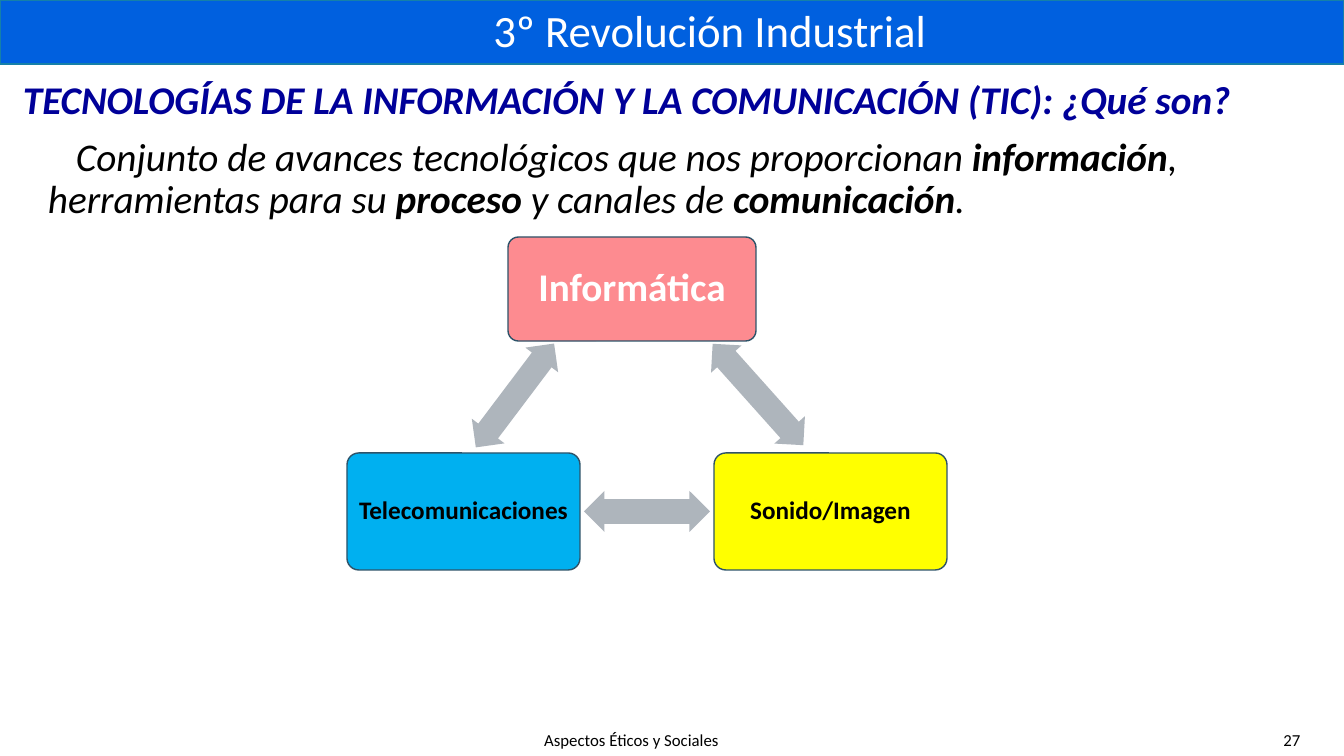
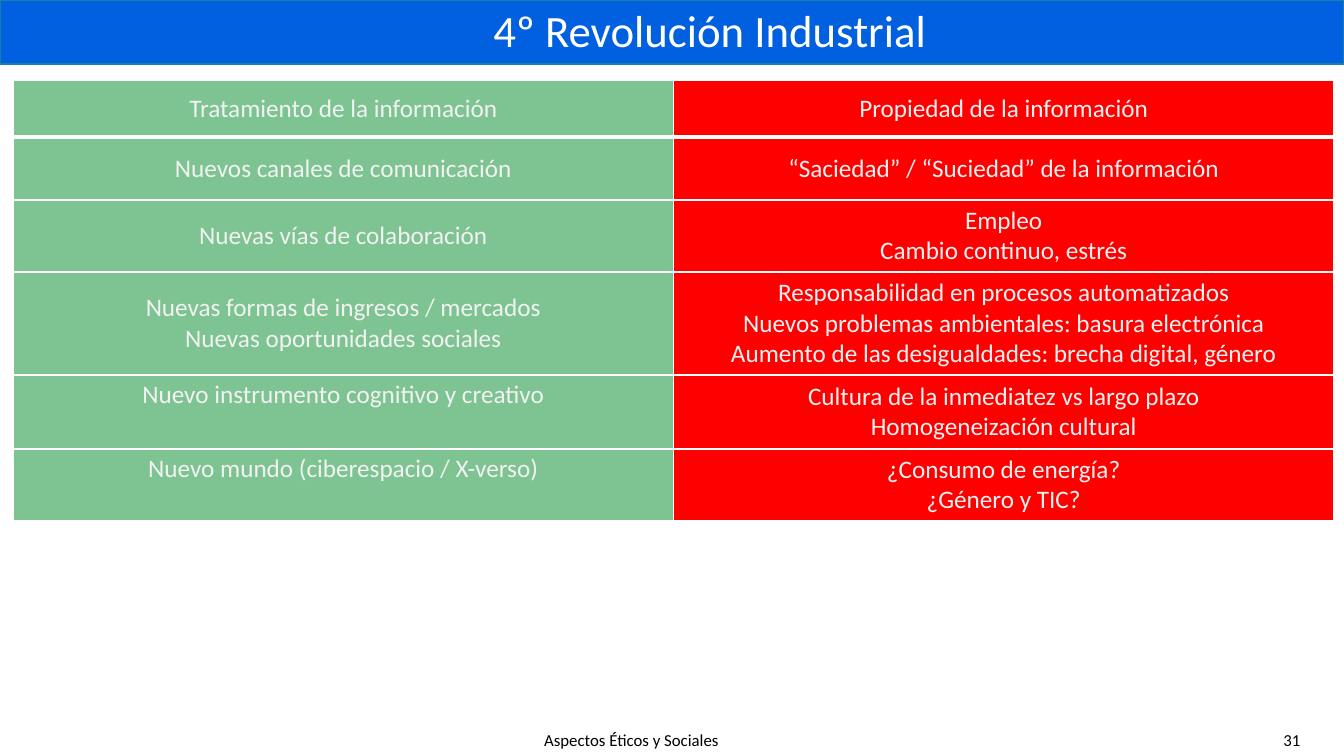
from lxml.etree import SubElement
from pptx import Presentation
from pptx.dml.color import RGBColor
from pptx.enum.shapes import MSO_SHAPE
from pptx.enum.text import MSO_ANCHOR, PP_ALIGN
from pptx.oxml.ns import qn
from pptx.util import Pt

EMU_PER_PX = 914400 / 100.8
FONT = "Calibri"
COLORS = {
    "band": "0060DF", "band_line": "1580A9", "heading": "000099",
    "black": "000000", "white": "FFFFFF", "pale": "F2F2F2",
    "pink": "FD8B90", "yellow": "FFFF00", "sky": "00B0F0",
    "node_line": "2E5369", "arrow": "AEB5BC",
    "green": "7EC492", "red": "FF0000",
}


def px(*lengths):
    return [round(length * EMU_PER_PX) for length in lengths]


def write(frame, paragraphs, size, color, align=PP_ALIGN.CENTER,
          anchor=MSO_ANCHOR.MIDDLE, spacing=1.0):
    """Fill a text frame; each paragraph is a list of (text, bold) runs."""
    frame.word_wrap = True
    frame.vertical_anchor = anchor
    for index, runs in enumerate(paragraphs):
        paragraph = frame.add_paragraph() if index else frame.paragraphs[0]
        paragraph.alignment = align
        paragraph.line_spacing = spacing
        for text, bold in runs:
            run = paragraph.add_run()
            run.text = text
            run.font.name = FONT
            run.font.size = Pt(size)
            run.font.bold = bold
            run.font.color.rgb = RGBColor.from_string(COLORS[color])


presentation = Presentation()
presentation.slide_width, presentation.slide_height = px(1344, 756)

# Band, title and footer of every slide
slides = []
for title, number in [("3º Revolución Industrial", "27"),
                      ("4º Revolución Industrial", "31")]:
    slide = presentation.slides.add_slide(presentation.slide_layouts[6])
    slides.append(slide)
    band = slide.shapes.add_shape(MSO_SHAPE.RECTANGLE, *px(0, 0, 1344, 64))
    band.shadow.inherit = False
    band.fill.solid()
    band.fill.fore_color.rgb = RGBColor.from_string(COLORS["band"])
    band.line.color.rgb = RGBColor.from_string(COLORS["band_line"])
    band.line.width = Pt(1)
    for text, place, size, color, anchor, spacing in [
        (title, (85, 2, 1250, 63), 32, "white", MSO_ANCHOR.MIDDLE, 0.9),
        ("Aspectos Éticos y Sociales", (13, 725, 1237, 30), 12, "black", MSO_ANCHOR.TOP, 1.0),
        (number, (1250, 725, 84, 30), 12, "black", MSO_ANCHOR.TOP, 1.0),
    ]:
        box = slide.shapes.add_textbox(*px(*place))
        write(box.text_frame, [[(text, False)]], size, color,
              anchor=anchor, spacing=spacing)

third, fourth = slides

# Definition of TIC
definition = third.shapes.add_textbox(*px(13, 76, 1321, 150)).text_frame
write(definition, [
    [("TECNOLOGÍAS DE LA INFORMACIÓN Y LA COMUNICACIÓN (TIC): ¿Qué son?", True)],
    [("Conjunto de avances tecnológicos que nos proporcionan ", False),
     ("información", True), (", herramientas para su ", False),
     ("proceso ", True), ("y canales de ", False),
     ("comunicación", True), (".", False)],
], 28, "black", PP_ALIGN.LEFT, MSO_ANCHOR.TOP, 0.9)
heading, explanation = definition.paragraphs
heading.runs[0].font.color.rgb = RGBColor.from_string(COLORS["heading"])
explanation.space_before = Pt(10)
for paragraph, indent in [(heading, -25), (explanation, 28)]:
    properties = paragraph._p.get_or_add_pPr()
    for name, length in zip(("marL", "indent"), px(25, indent)):
        properties.set(name, str(length))
    for run in paragraph.runs:
        run.font.italic = True

# Triangle of technologies joined by double arrows
for text, place, fill, size, color, inset in [
    ("Informática", (508, 237, 248, 104), "pink", 28, "white", 12),
    ("Sonido/Imagen", (714, 453, 233, 117), "yellow", 18, "black", 7),
    ("Telecomunicaciones", (347, 453, 233, 117), "sky", 18, "black", 7),
]:
    node = third.shapes.add_shape(MSO_SHAPE.ROUNDED_RECTANGLE, *px(*place))
    node.adjustments[0] = 0.1
    node.shadow.inherit = False
    node.fill.solid()
    node.fill.fore_color.rgb = RGBColor.from_string(COLORS[fill])
    node.line.color.rgb = RGBColor.from_string(COLORS["node_line"])
    node.line.width = Pt(1)
    frame = node.text_frame
    frame.margin_left, frame.margin_top, frame.margin_right, frame.margin_bottom = px(*[inset] * 4)
    write(frame, [[(text, True)]], size, color, spacing=0.9)

for left, top, width, rotation in [(690, 374, 136, 48.2), (584, 491, 126, 0),
                                   (450, 375, 130, 307)]:
    arrow = third.shapes.add_shape(MSO_SHAPE.LEFT_RIGHT_ARROW, *px(left, top, width, 41))
    arrow.adjustments[0] = 0.6
    arrow.adjustments[1] = 0.5
    arrow.rotation = rotation
    arrow.shadow.inherit = False
    arrow.fill.solid()
    arrow.fill.fore_color.rgb = RGBColor.from_string(COLORS["arrow"])
    arrow.line.fill.background()

# Opportunities (green) against risks (red)
TOP, MIDDLE = MSO_ANCHOR.TOP, MSO_ANCHOR.MIDDLE
rows = [
    (57, MIDDLE, ["Tratamiento de la información"], ["Propiedad de la información"]),
    (63, MIDDLE, ["Nuevos canales de comunicación"],
     ["“Saciedad” / “Suciedad” de la información"]),
    (72, MIDDLE, ["Nuevas vías de colaboración"], ["Empleo", "Cambio continuo, estrés"]),
    (103, MIDDLE, ["Nuevas formas de ingresos / mercados", "Nuevas oportunidades sociales"],
     ["Responsabilidad en procesos automatizados",
      "Nuevos problemas ambientales: basura electrónica",
      "Aumento de las desigualdades: brecha digital, género"]),
    (74, TOP, ["Nuevo instrumento cognitivo y creativo"],
     ["Cultura de la inmediatez vs largo plazo", "Homogeneización cultural"]),
    (72, TOP, ["Nuevo mundo (ciberespacio / X-verso)"],
     ["¿Consumo de energía?", "¿Género y TIC?"]),
]
table_height = sum(row[0] for row in rows)
table = fourth.shapes.add_table(len(rows), 2, *px(13, 80, 1321, table_height)).table
table.first_row = False
table.horz_banding = False
for row_index, (height, left_anchor, opportunities, risks) in enumerate(rows):
    table.rows[row_index].height = px(height)[0]
    for column, (lines, fill, anchor) in enumerate([
        (opportunities, "green", left_anchor), (risks, "red", MIDDLE),
    ]):
        cell = table.cell(row_index, column)
        write(cell.text_frame, [[(line, False)] for line in lines], 18, "pale")
        cell.vertical_anchor = anchor
        properties = cell._tc.get_or_add_tcPr()
        for side in ("lnL", "lnR", "lnT", "lnB"):
            below_header = (row_index, side) in [(0, "lnB"), (1, "lnT")]
            border = SubElement(properties, qn(f"a:{side}"), w=str(Pt(3 if below_header else 1)))
            solid = SubElement(border, qn("a:solidFill"))
            SubElement(solid, qn("a:srgbClr"), val=COLORS["white"])
        cell.fill.solid()
        cell.fill.fore_color.rgb = RGBColor.from_string(COLORS[fill])

presentation.save("out.pptx")
